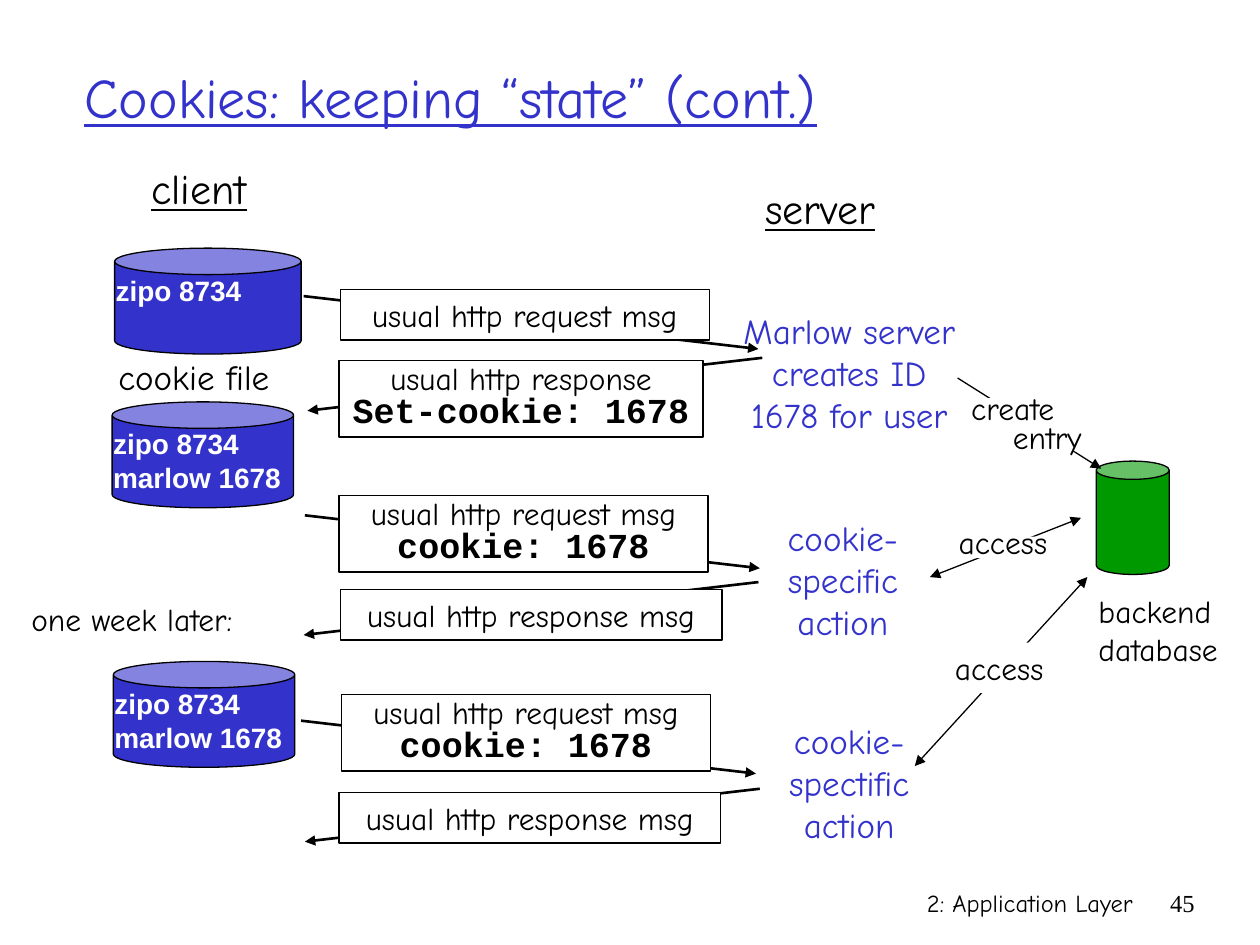
from lxml.etree import SubElement
from pptx import Presentation
from pptx.dml.color import RGBColor
from pptx.enum.shapes import MSO_CONNECTOR, MSO_SHAPE
from pptx.enum.text import MSO_ANCHOR, MSO_AUTO_SIZE, PP_ALIGN
from pptx.oxml.ns import qn
from pptx.util import Inches, Pt

HEX = {"blue": "3333CC", "green": "009900", "black": "000000", "white": "FFFFFF"}
HAND, MONO, SANS, SERIF = "Comic Neue", "Courier New", "Arial", "Times New Roman"
LEFT, MID, RIGHT = PP_ALIGN.LEFT, PP_ALIGN.CENTER, PP_ALIGN.RIGHT
THIN, THICK = 0.74, 1.5


def color(name):
    """Return the named colour."""
    return RGBColor.from_string(HEX[name])


def style(para, size, face=HAND, tint="black", bold=False, under=False):
    """Set the font of a paragraph."""
    font = para.font
    font.size, font.name = Pt(size), face
    font.bold, font.underline = bold, under
    font.color.rgb = color(tint)


def write(shape, lines, size, align=LEFT, wrap=True, space=None, **look):
    """Fill a shape with lines of text in one style."""
    frame = shape.text_frame
    frame.text = "\n".join(lines)
    frame.word_wrap = wrap
    frame.vertical_anchor = MSO_ANCHOR.TOP
    for para in frame.paragraphs:
        para.alignment = align
        if space:
            para.line_spacing = space
        style(para, size, **look)
    return frame


def label(slide, box, lines, size, align=LEFT, **look):
    """Add a text box."""
    shape = slide.shapes.add_textbox(*map(Inches, box))
    return write(shape, lines, size, align, **look)


def solid(slide, kind, box, fill, edge=True):
    """Add a filled shape, with or without an outline."""
    shape = slide.shapes.add_shape(kind, *map(Inches, box))
    shape.shadow.inherit = False
    shape.fill.solid()
    shape.fill.fore_color.rgb = color(fill)
    if edge:
        shape.line.color.rgb = color("black")
        shape.line.width = Pt(THIN)
    else:
        shape.line.fill.background()
    return shape


def arrow(slide, start, end, width, both=False):
    """Add a line with one or two arrowheads."""
    ends = map(Inches, (*start, *end))
    line = slide.shapes.add_connector(MSO_CONNECTOR.STRAIGHT, *ends)
    line.line.color.rgb = color("black")
    line.line.width = Pt(width)
    props = line.element.spPr
    stroke = props.find(qn("a:ln"))
    for tag in ("a:headEnd", "a:tailEnd") if both else ("a:tailEnd",):
        SubElement(stroke, qn(tag)).set("type", "triangle")
    SubElement(props, qn("a:effectLst"))


def message(slide, box, text, code=None):
    """Add a message box with an optional header line."""
    shape = solid(slide, MSO_SHAPE.RECTANGLE, box, "white")
    lines = [text, code] if code else [text]
    frame = write(shape, lines, 18, MID, space=0.8 if code else None)
    if code:
        style(frame.paragraphs[1], 20, MONO, bold=True)


def heading(slide):
    """Place and format the title."""
    title = slide.shapes.title
    title.left, title.top = Inches(0.57), Inches(0.14)
    title.width, title.height = Inches(8.5), Inches(1.25)
    frame = write(title, ["Cookies: keeping “state” (cont.)"], 32,
                  tint="blue", under=True)
    frame.vertical_anchor = MSO_ANCHOR.MIDDLE
    frame.auto_size = MSO_AUTO_SIZE.NONE


def stores(slide):
    """Draw the cookie files and the database."""
    first, second = "zipo 8734", "marlow 1678"
    for left, top, width, lines in (
        (0.91, 1.97, 1.48, [first]),
        (0.89, 3.19, 1.44, [first, second]),
        (0.9, 5.25, 1.44, [first, second]),
    ):
        solid(slide, MSO_SHAPE.CAN, (left, top, width, 0.84), "blue")
        label(slide, (left - 0.09, top + 0.15, 1.74, 0.64), lines, 16,
              face=SANS, tint="white", bold=True)
    solid(slide, MSO_SHAPE.CAN, (8.7, 3.66, 0.58, 0.9), "green")


def traffic(slide):
    """Draw the messages between client and server."""
    ask, reply = "usual http request msg", "usual http response msg"
    for left, top, step in ((2.41, 2.35, 1), (6.05, 2.84, -1), (2.42, 4.09, 1),
                            (6.02, 4.62, -1), (2.39, 5.72, 1), (6.03, 6.26, -1)):
        arrow(slide, (left, top), (left + 3.61 * step, top + 0.42), THICK)
    for box, *words in (
        ((2.7, 2.3, 2.93, 0.4), ask),
        ((2.69, 2.86, 2.89, 0.61), "usual http response", "Set-cookie: 1678"),
        ((2.69, 3.93, 2.93, 0.61), ask, "cookie: 1678"),
        ((2.7, 4.68, 3.03, 0.4), reply),
        ((2.71, 5.51, 2.93, 0.61), ask, "cookie: 1678"),
        ((2.69, 6.29, 3.03, 0.4), reply),
    ):
        message(slide, box, *words)


def actions(slide):
    """Draw the server actions and their database links."""
    for box, lines in (
        ((5.65, 2.41, 2.18, 1.1), ["Marlow server", "creates ID", "1678 for user"]),
        ((5.99, 4.05, 1.4, 1.1), ["cookie-", "specific", "action"]),
        ((6.04, 5.66, 1.4, 1.1), ["cookie-", "spectific", "action"]),
    ):
        label(slide, box, lines, 20, MID, tint="blue")
    arrow(slide, (7.6, 3), (8.74, 3.72), THIN)
    arrow(slide, (7.38, 4.58), (8.58, 4.11), THIN, True)
    arrow(slide, (7.26, 6.08), (8.63, 4.58), THIN, True)
    for box in ((7.76, 3.16, 1.05, 0.42), (7.65, 4.26, 0.67, 0.17),
                (7.48, 5.1, 0.9, 0.4)):
        solid(slide, MSO_SHAPE.RECTANGLE, box, "white", False)
    frame = label(slide, (7.61, 3.11, 1.28, 0.55), ["create", "entry"], 18, space=0.75)
    indent = frame.paragraphs[1]._p.get_or_add_pPr()
    indent.set("marL", str(Inches(0.33)))
    indent.set("indent", "0")
    for left, top in ((7.51, 4.1), (7.48, 5.1)):
        label(slide, (left, top, 1, 0.4), ["access"], 18)
    label(slide, (8.62, 4.65, 1.3, 0.7), ["backend", "database"], 18)


def notes(slide):
    """Add the column heads, captions and footer."""
    label(slide, (0.93, 1.24, 1.3, 0.5), ["client"], 24, MID, under=True)
    label(slide, (5.86, 1.4, 1.3, 0.5), ["server"], 24, MID, under=True)
    label(slide, (0.84, 2.77, 1.95, 0.44), ["cookie file"], 20)
    label(slide, (0.15, 4.71, 2, 0.4), ["one week later:"], 18)
    label(slide, (5.92, 7, 3.17, 0.5), ["2: Application Layer"], 14, RIGHT)
    label(slide, (9.08, 7, 0.5, 0.5), ["45"], 14, RIGHT, face=SERIF)


def main():
    """Build and save the slide."""
    deck = Presentation()
    deck.slide_width, deck.slide_height = Inches(10), Inches(7.5)
    slide = deck.slides.add_slide(deck.slide_layouts[5])
    for part in (heading, stores, traffic, actions, notes):
        part(slide)
    deck.save("out.pptx")


main()
